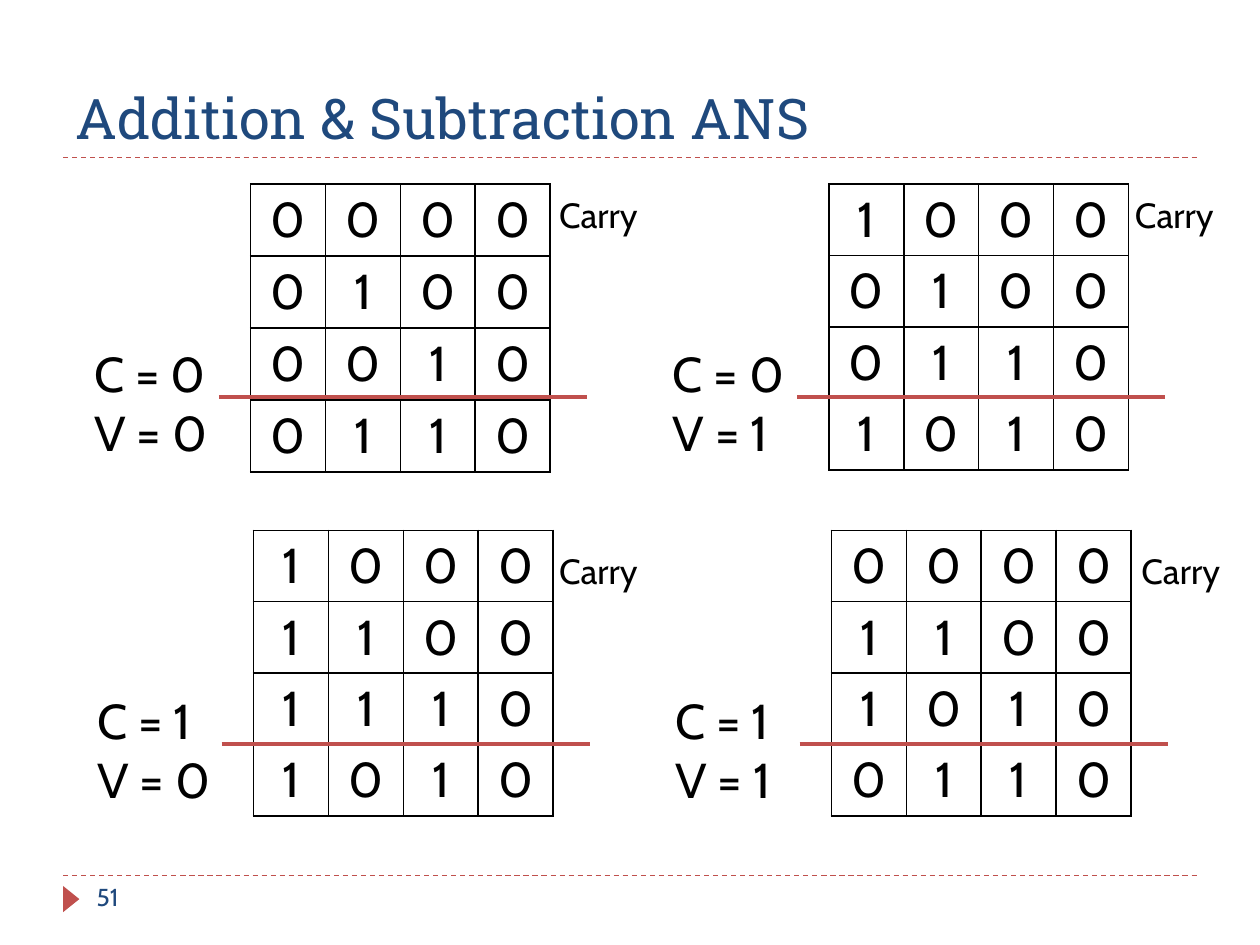
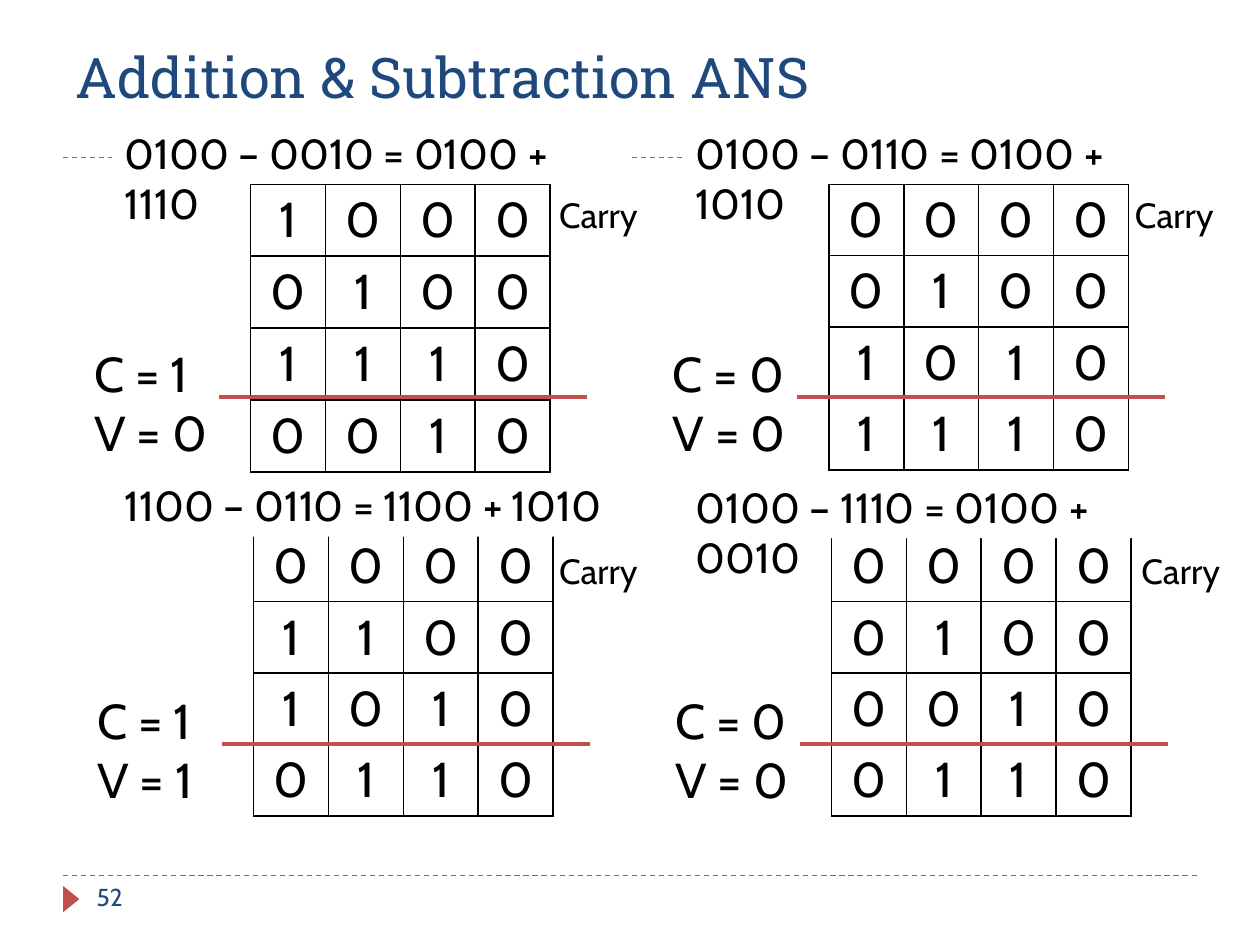
from dataclasses import dataclass
from typing import Optional

from lxml import etree
from pptx import Presentation
from pptx.dml.color import RGBColor
from pptx.enum import dml, shapes, text
from pptx.oxml import ns
from pptx.util import Cm, Pt


@dataclass(frozen=True)
class Theme:
    ink: RGBColor = RGBColor(0x00, 0x00, 0x00)
    paper: RGBColor = RGBColor(0xFF, 0xFF, 0xFF)
    navy: RGBColor = RGBColor(0x1F, 0x49, 0x7D)
    red: RGBColor = RGBColor(0xC0, 0x50, 0x4D)
    title_font: str = "Roboto Slab"
    body_font: str = "Cabin"
    title: int = 32
    digit: int = 28
    equation: int = 24
    label: int = 20
    page: int = 14


THEME = Theme()
COLUMN_WIDTH = 1.51
TITLE = "Addition & Subtraction ANS"


@dataclass(frozen=True)
class Box:
    """Left, top, width and height in centimetres."""
    left: float
    top: float
    width: float
    height: float

    def lengths(self) -> tuple:
        return Cm(self.left), Cm(self.top), Cm(self.width), Cm(self.height)


@dataclass(frozen=True)
class Place:
    """Where one sum stands: its grid, carry label and equation."""
    left: float
    top: float
    row_height: float
    carry_left: float
    carry_top: float
    equation_left: float
    equation_top: float


@dataclass(frozen=True)
class Sum:
    """Rows are carry, first number, second number, result."""
    rows: str
    carry_flag: int
    overflow_flag: int
    equation: Optional[str] = None


@dataclass(frozen=True)
class Page:
    number: int
    title_top: float
    sums: tuple


PLACES = (
    Place(5.05, 3.71, 1.45, 11.02, 3.78, 2.26, 2.44),
    Place(16.71, 3.71, 1.44, 22.63, 3.78, 13.77, 2.44),
    Place(5.11, 10.69, 1.44, 11.02, 10.95, 2.26, 9.55),
    Place(16.76, 10.69, 1.44, 22.76, 10.95, 13.77, 9.58),
)

PAGES = (
    Page(51, 0.43, (
        Sum("0000 0100 0010 0110", 0, 0),
        Sum("1000 0100 0110 1010", 0, 1),
        Sum("1000 1100 1110 1010", 1, 0),
        Sum("0000 1100 1010 0110", 1, 1),
    )),
    Page(52, -0.41, (
        Sum("1000 0100 1110 0010", 1, 0, "0100 – 0010 = 0100 + 1110"),
        Sum("0000 0100 1010 1110", 0, 0, "0100 – 0110 = 0100 + 1010"),
        Sum("0000 1100 1010 0110", 1, 1, "1100 – 0110 = 1100 + 1010"),
        Sum("0000 0100 0010 0110", 0, 0, "0100 – 1110 = 0100 + 0010"),
    )),
)


def style(paragraph, size: int, color: RGBColor = THEME.ink,
          font: str = THEME.body_font, align=text.PP_ALIGN.LEFT) -> None:
    paragraph.alignment = align
    paragraph.font.size = Pt(size)
    paragraph.font.name = font
    paragraph.font.color.rgb = color


def write(shape, words: str, size: int, color: RGBColor = THEME.ink) -> None:
    frame = shape.text_frame
    frame.word_wrap = True
    frame.auto_size = text.MSO_AUTO_SIZE.NONE
    frame.vertical_anchor = text.MSO_ANCHOR.TOP
    frame.text = words
    for paragraph in frame.paragraphs:
        style(paragraph, size, color)


def add_label(slide, box: Box, words: str, size: int, color: RGBColor = THEME.ink) -> None:
    write(slide.shapes.add_textbox(*box.lengths()), words, size, color)


def add_filled(slide, kind, box: Box, color: RGBColor):
    shape = slide.shapes.add_shape(kind, *box.lengths())
    shape.shadow.inherit = False
    shape.fill.solid()
    shape.fill.fore_color.rgb = color
    shape.line.fill.background()
    return shape


def add_rule(slide, left: float, top: float, length: float, weight: float):
    rule = slide.shapes.add_connector(
        shapes.MSO_CONNECTOR.STRAIGHT, Cm(left), Cm(top), Cm(left + length), Cm(top))
    rule.line.color.rgb = THEME.red
    rule.line.width = Pt(weight)
    etree.SubElement(rule.element.spPr, ns.qn("a:effectLst"))
    return rule


def add_borders(cell) -> None:
    properties = cell._tc.get_or_add_tcPr()
    for index, side in enumerate(("lnL", "lnR", "lnT", "lnB")):
        line = etree.Element(ns.qn(f"a:{side}"), w=str(Pt(1)))
        fill = etree.SubElement(line, ns.qn("a:solidFill"))
        etree.SubElement(fill, ns.qn("a:srgbClr"), val=str(THEME.ink))
        properties.insert(index, line)


def add_digit_grid(slide, place: Place, rows: list) -> None:
    box = Box(place.left, place.top, COLUMN_WIDTH * len(rows[0]), place.row_height * len(rows))
    table = slide.shapes.add_table(len(rows), len(rows[0]), *box.lengths()).table
    table.first_row = table.horz_banding = False
    for column in table.columns:
        column.width = Cm(COLUMN_WIDTH)
    for row, digits in zip(table.rows, rows):
        row.height = Cm(place.row_height)
        for cell, digit in zip(row.cells, digits):
            cell.text = digit
            cell.margin_top = cell.margin_bottom = Cm(0.1)
            cell.vertical_anchor = text.MSO_ANCHOR.MIDDLE
            cell.fill.background()
            add_borders(cell)
            style(cell.text_frame.paragraphs[0], THEME.digit, align=text.PP_ALIGN.CENTER)


def add_sum(slide, place: Place, item: Sum) -> None:
    add_digit_grid(slide, place, item.rows.split())
    add_rule(slide, place.left - 0.64, place.top + 4.3, 7.42, 2.25)
    add_label(slide, Box(place.left - 3.4, place.top + 3.1, 2.84, 2.64),
              f"C = {item.carry_flag}\nV = {item.overflow_flag}", THEME.digit)
    if item.equation:
        strip = add_filled(slide, shapes.MSO_SHAPE.RECTANGLE,
                           Box(place.equation_left, place.equation_top, 10.44, 1.27), THEME.paper)
        write(strip, item.equation, THEME.equation)
    add_label(slide, Box(place.carry_left, place.carry_top, 2.21, 1.12), "Carry", THEME.label)


def decorate_layout(layout, slide) -> None:
    """Draw the shared rules and marker, then move them to the layout."""
    for placeholder in list(layout.placeholders):
        if placeholder.placeholder_format.type != shapes.PP_PLACEHOLDER.TITLE:
            placeholder.element.getparent().remove(placeholder.element)
    decorations = [add_rule(slide, 1.27, top, 22.86, 0.75) for top in (17.65, 3.18)]
    for rule in decorations:
        rule.line.dash_style = dml.MSO_LINE.DASH
    marker = add_filled(slide, shapes.MSO_SHAPE.ISOSCELES_TRIANGLE,
                        Box(1.17, 17.96, 0.53, 0.33), THEME.red)
    marker.rotation = 90
    for shape in (*decorations, marker):
        layout.shapes.element.append(shape.element)


def fill_page(slide, page: Page) -> None:
    # Title and page number
    title = slide.shapes.title
    title.left, title.top, title.width, title.height = Box(
        1.27, page.title_top, 22.86, 2.74).lengths()
    title.text_frame.text = TITLE
    title.text_frame.vertical_anchor = text.MSO_ANCHOR.BOTTOM
    style(title.text_frame.paragraphs[0], THEME.title, THEME.navy, THEME.title_font)
    add_label(slide, Box(1.7, 17.65, 5.51, 1.02), str(page.number), THEME.page, THEME.navy)

    # Four worked sums
    for place, item in zip(PLACES, page.sums):
        add_sum(slide, place, item)


def main() -> None:
    presentation = Presentation()
    presentation.slide_width, presentation.slide_height = Cm(25.4), Cm(19.05)
    layout = presentation.slide_layouts.get_by_name("Title Only")
    slides = [presentation.slides.add_slide(layout) for _ in PAGES]
    decorate_layout(layout, slides[0])
    for slide, page in zip(slides, PAGES):
        fill_page(slide, page)
    presentation.save("out.pptx")


if __name__ == "__main__":
    main()
